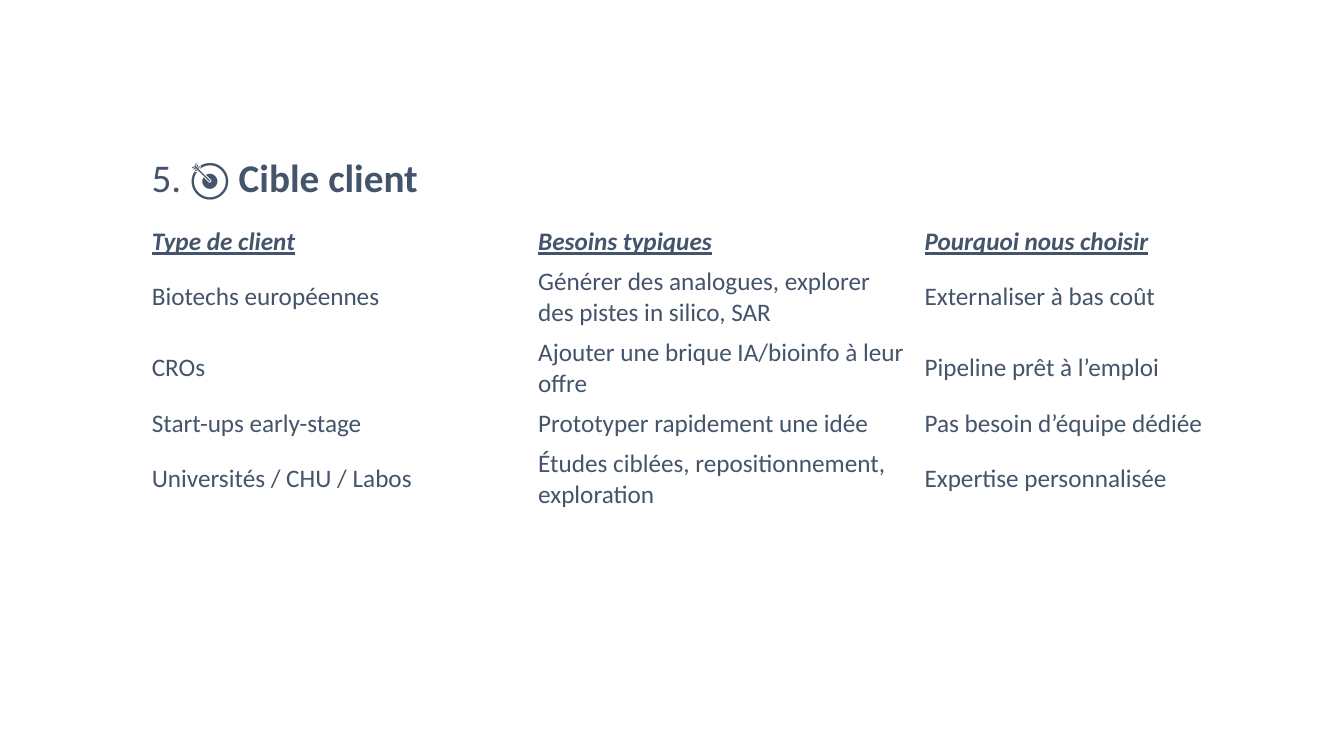
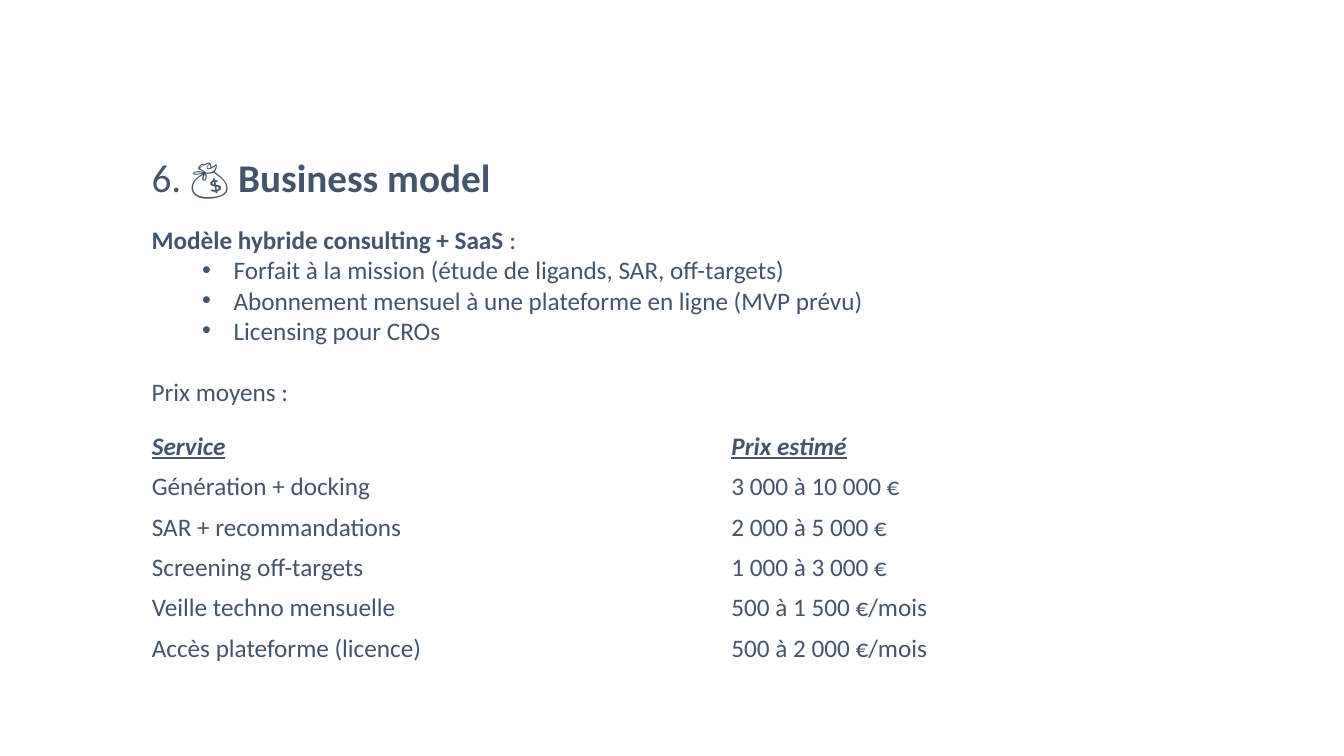
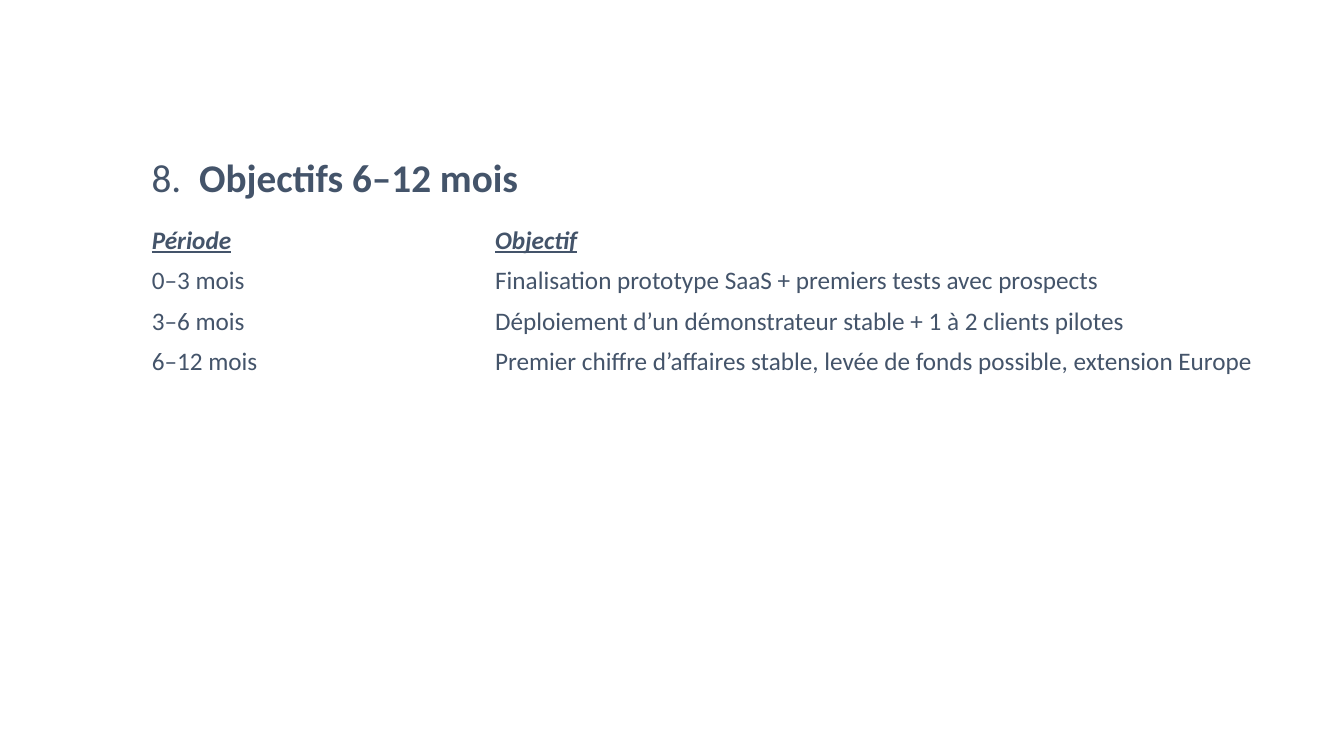
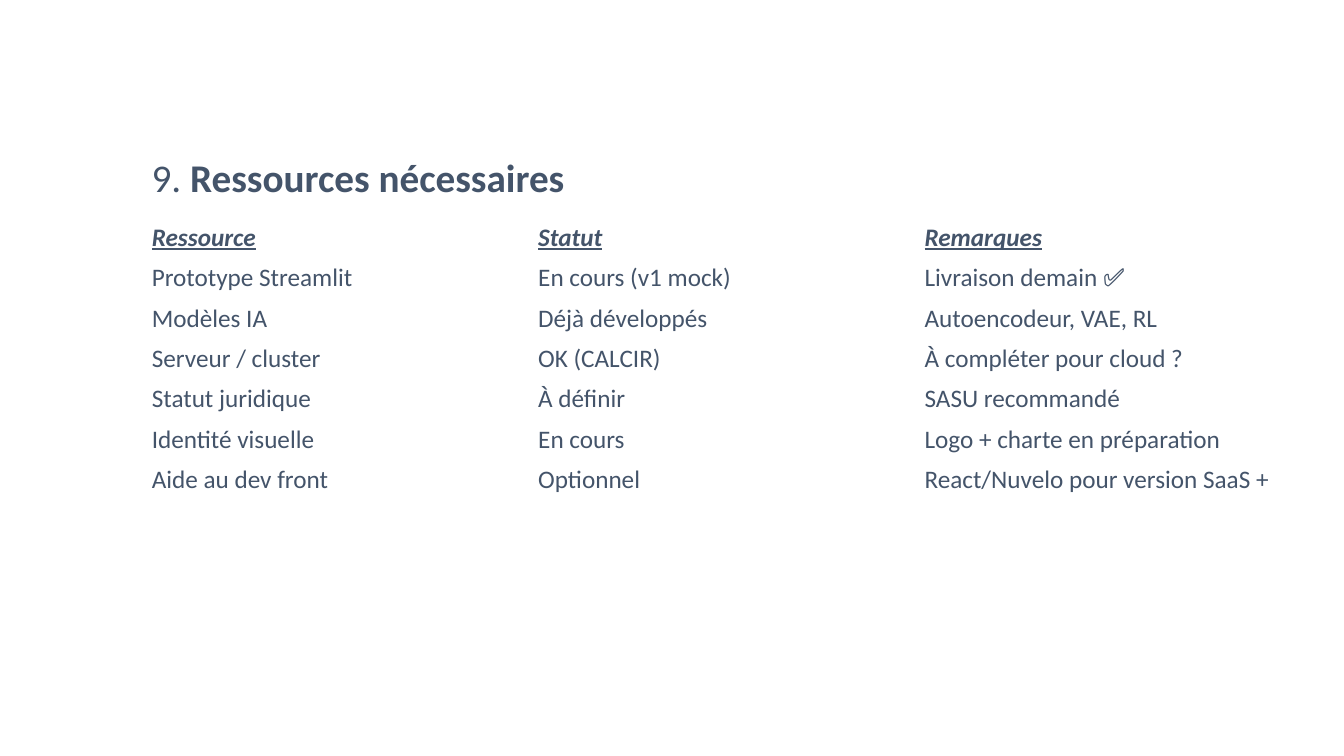
from pptx import Presentation
from pptx import util as u
from pptx.dml import color
from pptx.enum import text
from pptx.oxml import ns
from lxml import etree

SCALE = 9525
COLOURS = {"page": "FFFFFF", "ink": "44546A"}
FONT = "Calibri"
TITLE_SIZE, BODY_SIZE = 28, 18
LEFT, TITLE_TOP, TITLE_HEIGHT = 135, 141, 55
TABLE_WIDTH, ROW_HEIGHT = 1104, 38
THIRDS = [TABLE_WIDTH // 3] * 3
HALVES = [TABLE_WIDTH // 2] * 2


def px(length):
    return u.Emu(length * SCALE)


def add_span(para, words, size=BODY_SIZE, bold=False, heading=False):
    span = para.add_run()
    span.text = words
    font = span.font
    font.name = FONT
    font.size = u.Pt(size)
    font.bold = bold or heading
    font.italic = heading
    font.underline = heading
    font.color.rgb = color.RGBColor.from_string(COLOURS["ink"])


def add_text_frame(page, box):
    frame = page.shapes.add_textbox(*map(px, box)).text_frame
    frame.word_wrap = True
    frame.auto_size = text.MSO_AUTO_SIZE.SHAPE_TO_FIT_TEXT
    return frame


def add_page(deck, number, title, title_width):
    page = deck.slides.add_slide(deck.slide_layouts[6])
    fill = page.background.fill
    fill.solid()
    fill.fore_color.rgb = color.RGBColor.from_string(COLOURS["page"])
    frame = add_text_frame(page, (LEFT, TITLE_TOP, title_width, TITLE_HEIGHT))
    para = frame.paragraphs[0]
    add_span(para, number, TITLE_SIZE)
    add_span(para, title, TITLE_SIZE, bold=True)
    return page


def add_grid(page, top, widths, rows):
    box = (LEFT, top, sum(widths), ROW_HEIGHT * len(rows))
    table = page.shapes.add_table(len(rows), len(widths), *map(px, box)).table
    table.first_row = False
    table.horz_banding = False
    for column, width in zip(table.columns, widths):
        column.width = px(width)
    for row_index, row in enumerate(rows):
        for column_index, words in enumerate(row):
            cell = table.cell(row_index, column_index)
            cell.fill.background()
            cell.vertical_anchor = text.MSO_ANCHOR.MIDDLE
            add_span(cell.text_frame.paragraphs[0], words, heading=row_index == 0)


def add_bullet(para, margin, hanging):
    para.level = 1
    properties = para._p.get_or_add_pPr()
    properties.set("marL", str(px(margin)))
    properties.set("indent", str(-px(hanging)))
    etree.SubElement(properties, ns.qn("a:buFont")).set("typeface", "Arial")
    etree.SubElement(properties, ns.qn("a:buChar")).set("char", "•")


def add_offer(page, box, heading, offers, closing):
    frame = add_text_frame(page, box)
    para = frame.paragraphs[0]
    add_span(para, heading, bold=True)
    add_span(para, ":")
    for offer in offers:
        para = frame.add_paragraph()
        add_bullet(para, 78, 30)
        add_span(para, offer)
    para = frame.add_paragraph()
    para.space_before = u.Pt(22)
    add_span(para, closing)


def build_clients(deck):
    page = add_page(deck, "5. 🎯 ", "Cible client", 321)
    add_grid(page, 211, THIRDS, [
        ("Type de client", "Besoins typiques", "Pourquoi nous choisir"),
        ("Biotechs européennes",
         "Générer des analogues, explorer des pistes in silico, SAR",
         "Externaliser à bas coût"),
        ("CROs", "Ajouter une brique IA/bioinfo à leur offre",
         "Pipeline prêt à l’emploi"),
        ("Start-ups early-stage", "Prototyper rapidement une idée",
         "Pas besoin d’équipe dédiée"),
        ("Universités / CHU / Labos",
         "Études ciblées, repositionnement, exploration",
         "Expertise personnalisée"),
    ])


def build_business_model(deck):
    page = add_page(deck, "6. 💰 ", "Business model", 526)
    add_offer(page, (LEFT, 209, 1002, 213), "Modèle hybride consulting + SaaS ", [
        "Forfait à la mission (étude de ligands, SAR, off-targets)",
        "Abonnement mensuel à une plateforme en ligne (MVP prévu)",
        "Licensing pour CROs",
    ], "Prix moyens :")
    add_grid(page, 406, HALVES, [
        ("Service", "Prix estimé"),
        ("Génération + docking", "3 000 à 10 000 €"),
        ("SAR + recommandations", "2 000 à 5 000 €"),
        ("Screening off-targets", "1 000 à 3 000 €"),
        ("Veille techno mensuelle", "500 à 1 500 €/mois"),
        ("Accès plateforme (licence)", "500 à 2 000 €/mois"),
    ])


def build_goals(deck):
    page = add_page(deck, "8.  ", "Objectifs 6–12 mois", 505)
    period_width = 327
    add_grid(page, 210, [period_width, TABLE_WIDTH - period_width], [
        ("Période", "Objectif"),
        ("0–3 mois", "Finalisation prototype SaaS + premiers tests avec prospects"),
        ("3–6 mois", "Déploiement d’un démonstrateur stable + 1 à 2 clients pilotes"),
        ("6–12 mois", "Premier chiffre d’affaires stable, levée de fonds possible, "
                      "extension Europe"),
    ])


def build_resources(deck):
    page = add_page(deck, "9. ", "Ressources nécessaires", 444)
    add_grid(page, 207, THIRDS, [
        ("Ressource", "Statut", "Remarques"),
        ("Prototype Streamlit", "En cours (v1 mock)", "Livraison demain ✅"),
        ("Modèles IA", "Déjà développés", "Autoencodeur, VAE, RL"),
        ("Serveur / cluster", "OK (CALCIR)", "À compléter pour cloud ?"),
        ("Statut juridique", "À définir", "SASU recommandé"),
        ("Identité visuelle", "En cours", "Logo + charte en préparation"),
        ("Aide au dev front", "Optionnel", "React/Nuvelo pour version SaaS +"),
    ])


def main():
    deck = Presentation()
    deck.slide_width, deck.slide_height = px(1280), px(720)
    for build in (build_clients, build_business_model, build_goals, build_resources):
        build(deck)
    deck.save("out.pptx")


if __name__ == "__main__":
    main()
